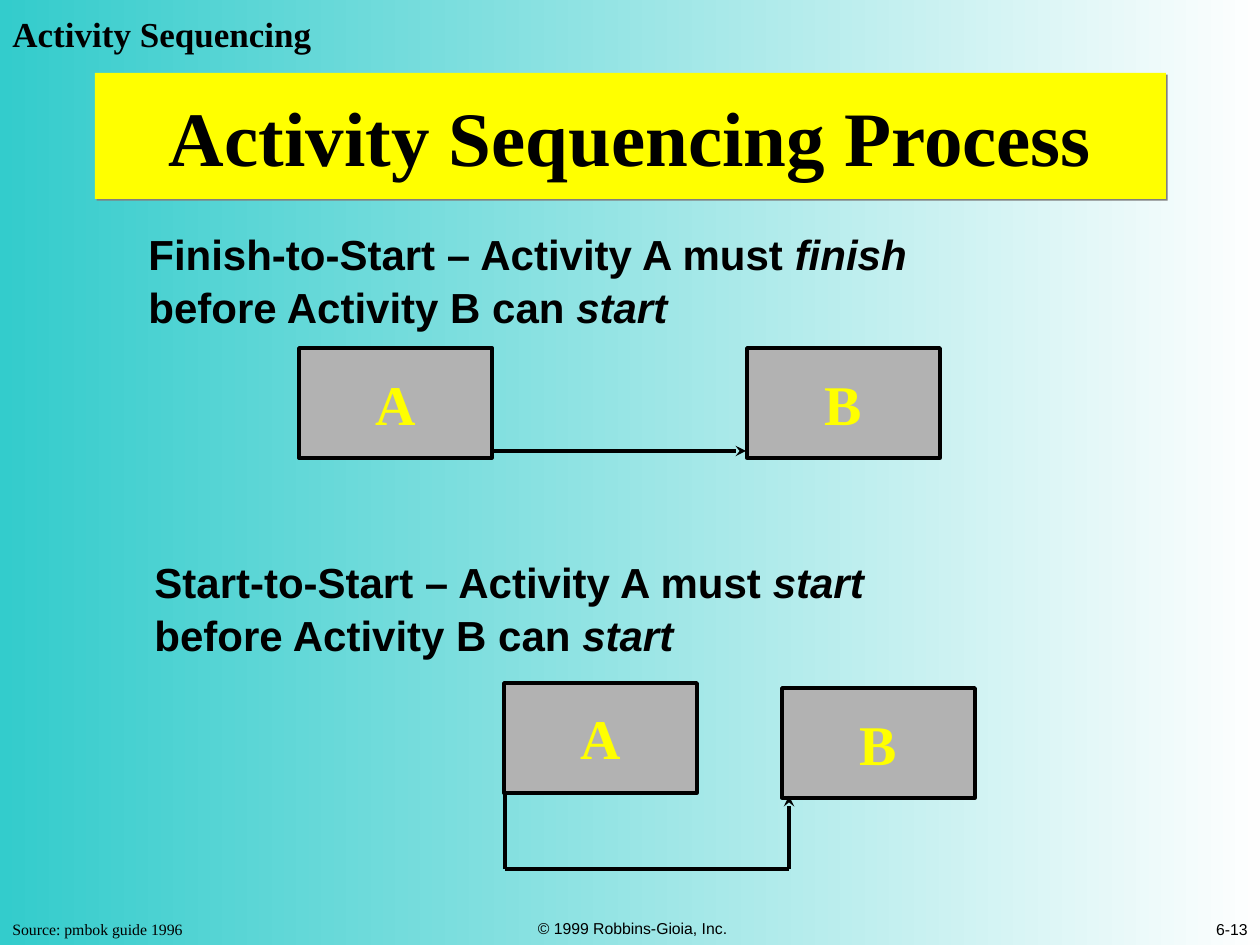
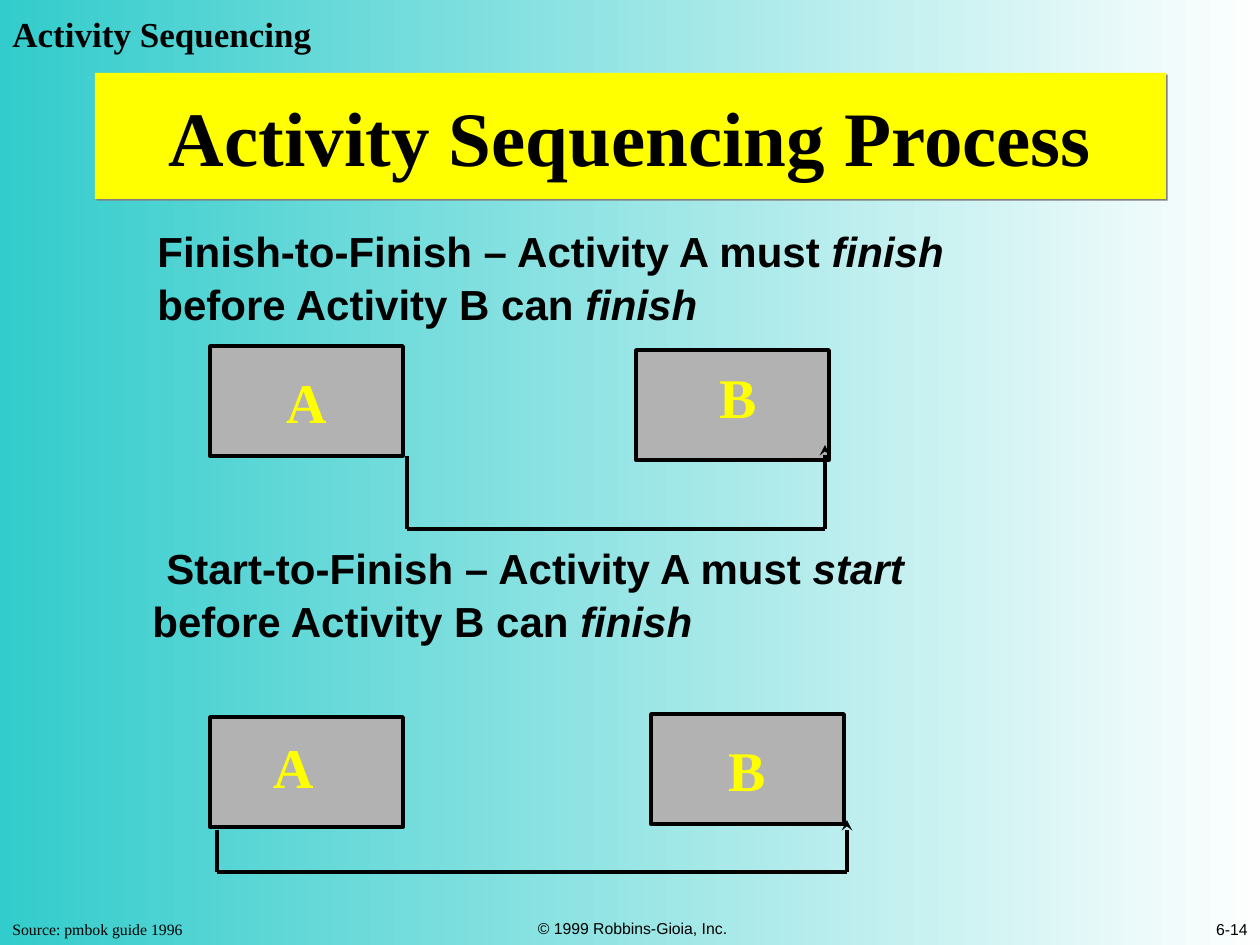
from itertools import pairwise

from lxml import etree
from pptx import Presentation
from pptx.dml.color import RGBColor
from pptx.enum.shapes import MSO_CONNECTOR, MSO_SHAPE
from pptx.enum.text import MSO_ANCHOR, PP_ALIGN
from pptx.oxml.ns import qn
from pptx.util import Emu, Pt

RECTANGLE = MSO_SHAPE.RECTANGLE
STRAIGHT = MSO_CONNECTOR.STRAIGHT
LEFT, CENTER, RIGHT = PP_ALIGN.LEFT, PP_ALIGN.CENTER, PP_ALIGN.RIGHT
TOP, MIDDLE, BOTTOM = MSO_ANCHOR.TOP, MSO_ANCHOR.MIDDLE, MSO_ANCHOR.BOTTOM

EMU_PER_PX = 914400 / 126
SLIDE_W, SLIDE_H = 1260, 945
ACTIVITY_W, ACTIVITY_H = 193, 110
SERIF, SANS = "Times New Roman", "Arial"
COLORS = {
    "teal": "33CCCC",
    "white": "FEFEFE",
    "yellow": "FFFF00",
    "gray": "B2B2B2",
    "shadow": "808080",
    "black": "000000",
}

SLIDES = [
    ("6-13", [
        {
            "box": (136, 220, 914, 113),
            "statement": ["Finish-to-Start – Activity A must ", "finish ",
                          "before Activity B can ", "start"],
            "activities": [("A", 163, 128, 0, 0), ("B", 611, 128, 0, 0)],
            "route": [(358, 231), (610, 231)],
        },
        {
            "box": (142, 548, 866, 113),
            "statement": ["Start-to-Start – Activity A must ", "start",
                          " before Activity B can ", "start"],
            "activities": [("A", 362, 135, 0, -1), ("B", 640, 140, 0, 0)],
            "route": [(363, 246), (363, 321), (647, 321), (647, 248)],
        },
    ]),
    ("6-14", [
        {
            "box": (145, 217, 936, 113),
            "statement": ["Finish-to-Finish – Activity A must ", "finish ",
                          "before Activity B can ", "finish"],
            "activities": [("A", 65, 129, 0, 0), ("B", 491, 133, 6, -9)],
            "route": [(262, 239), (262, 312), (680, 312), (680, 228)],
        },
        {
            "box": (140, 534, 890, 113),
            "indent": 14,
            "statement": ["Start-to-Finish – Activity A must ", "start ",
                          "before Activity B can ", "finish"],
            "activities": [("A", 70, 183, -13, -6), ("B", 511, 180, 0, 0)],
            "route": [(77, 296), (77, 338), (707, 338), (707, 286)],
        },
    ]),
]


def px(length):
    """Turn pixels into EMU."""
    return Emu(round(length * EMU_PER_PX))


def rgb(name):
    """Look up a colour by name."""
    return RGBColor.from_string(COLORS[name])


def style(paragraph, size, face, color="black", bold=False, align=LEFT):
    """Set the look of a whole paragraph."""
    paragraph.alignment = align
    font = paragraph.font
    font.size, font.name, font.bold = Pt(size), face, bold
    font.color.rgb = rgb(color)


def add_label(slide, box, text, size, face, bold=False, align=LEFT, anchor=TOP):
    """Add a one-line text box."""
    frame = slide.shapes.add_textbox(*map(px, box)).text_frame
    frame.word_wrap = True
    frame.vertical_anchor = anchor
    frame.text = text
    style(frame.paragraphs[0], size, face, bold=bold, align=align)


def add_panel(slide, box, fill, text, size, color):
    """Add a filled rectangle with bold centred text."""
    panel = slide.shapes.add_shape(RECTANGLE, *map(px, box))
    panel.shadow.inherit = False
    panel.fill.solid()
    panel.fill.fore_color.rgb = rgb(fill)
    panel.line.fill.background()
    frame = panel.text_frame
    frame.vertical_anchor = MIDDLE
    frame.text = text
    style(frame.paragraphs[0], size, SERIF, color, bold=True, align=CENTER)
    return panel


def add_title(slide, box):
    """Add the yellow title band with its thin shadow."""
    band = add_panel(slide, box, "yellow", "Activity Sequencing Process", 44, "black")
    effects = band._element.spPr.find(qn("a:effectLst"))
    shadow = etree.SubElement(effects, qn("a:outerShdw"), dist=str(Pt(1.4)),
                              dir="2700000", algn="ctr", rotWithShape="0")
    etree.SubElement(shadow, qn("a:srgbClr"), val=COLORS["shadow"])


def add_frame(slide, page):
    """Add the background, heading, title and footers shared by all slides."""
    backdrop = slide.background.fill
    backdrop.gradient()
    backdrop.gradient_angle = 180
    for stop, color in zip(backdrop.gradient_stops, ("white", "teal")):
        stop.color.rgb = rgb(color)
    add_label(slide, (0, 914, 300, 31), "Source: pmbok guide 1996", 9, SERIF)
    add_label(slide, (428, 881, 409, 63), "© 1999 Robbins-Gioia, Inc.", 9, SANS,
              align=CENTER, anchor=BOTTOM)
    add_label(slide, (850, 882, 410, 63), page, 9, SANS, align=RIGHT, anchor=BOTTOM)
    add_title(slide, (95, 73, 1071, 126))
    add_label(slide, (0, 6, 400, 55), "Activity Sequencing", 20, SERIF, bold=True)


def add_statement(slide, box, parts, indent):
    """Add a rule whose every second part is italic."""
    frame = slide.shapes.add_textbox(*map(px, box)).text_frame
    frame.word_wrap = True
    rule = frame.paragraphs[0]
    rule.line_spacing = 1.05
    if indent:
        rule._p.get_or_add_pPr().set("indent", str(px(indent)))
    style(rule, 24, SANS, bold=True)
    for position, part in enumerate(parts):
        run = rule.add_run()
        run.text = part
        run.font.italic = position % 2 == 1


def add_activity(slide, left, top, name, shift_x, shift_y):
    """Add an activity box with its letter shifted from the centre."""
    activity = add_panel(slide, (left, top, ACTIVITY_W, ACTIVITY_H),
                         "gray", name, 32, "yellow")
    activity.line.color.rgb = rgb("black")
    activity.line.width = Pt(2)
    frame = activity.text_frame
    frame.margin_left, frame.margin_right = px(20 + shift_x), px(20 - shift_x)
    frame.margin_top, frame.margin_bottom = px(10 + shift_y), px(10 - shift_y)


def add_route(slide, points):
    """Draw straight legs through the points, ending in an arrowhead."""
    for start, end in pairwise(points):
        leg = slide.shapes.add_connector(STRAIGHT, *map(px, start + end))
        leg.line.color.rgb = rgb("black")
        leg.line.width = Pt(2)
        etree.SubElement(leg._element.spPr, qn("a:effectLst"))
    etree.SubElement(leg.line._get_or_add_ln(), qn("a:tailEnd"), type="stealth")


def add_dependency(slide, box, statement, activities, route, indent=0):
    """Add one dependency: its rule, two activities and the route between them."""
    left, top = box[:2]
    add_statement(slide, box, statement, indent)
    for name, x, y, shift_x, shift_y in activities:
        add_activity(slide, left + x, top + y, name, shift_x, shift_y)
    add_route(slide, [(left + x, top + y) for x, y in route])


def main():
    """Build and save the slides."""
    deck = Presentation()
    deck.slide_width, deck.slide_height = px(SLIDE_W), px(SLIDE_H)
    for page, dependencies in SLIDES:
        slide = deck.slides.add_slide(deck.slide_layouts[6])
        add_frame(slide, page)
        for dependency in dependencies:
            add_dependency(slide, **dependency)
    deck.save("out.pptx")


if __name__ == "__main__":
    main()
